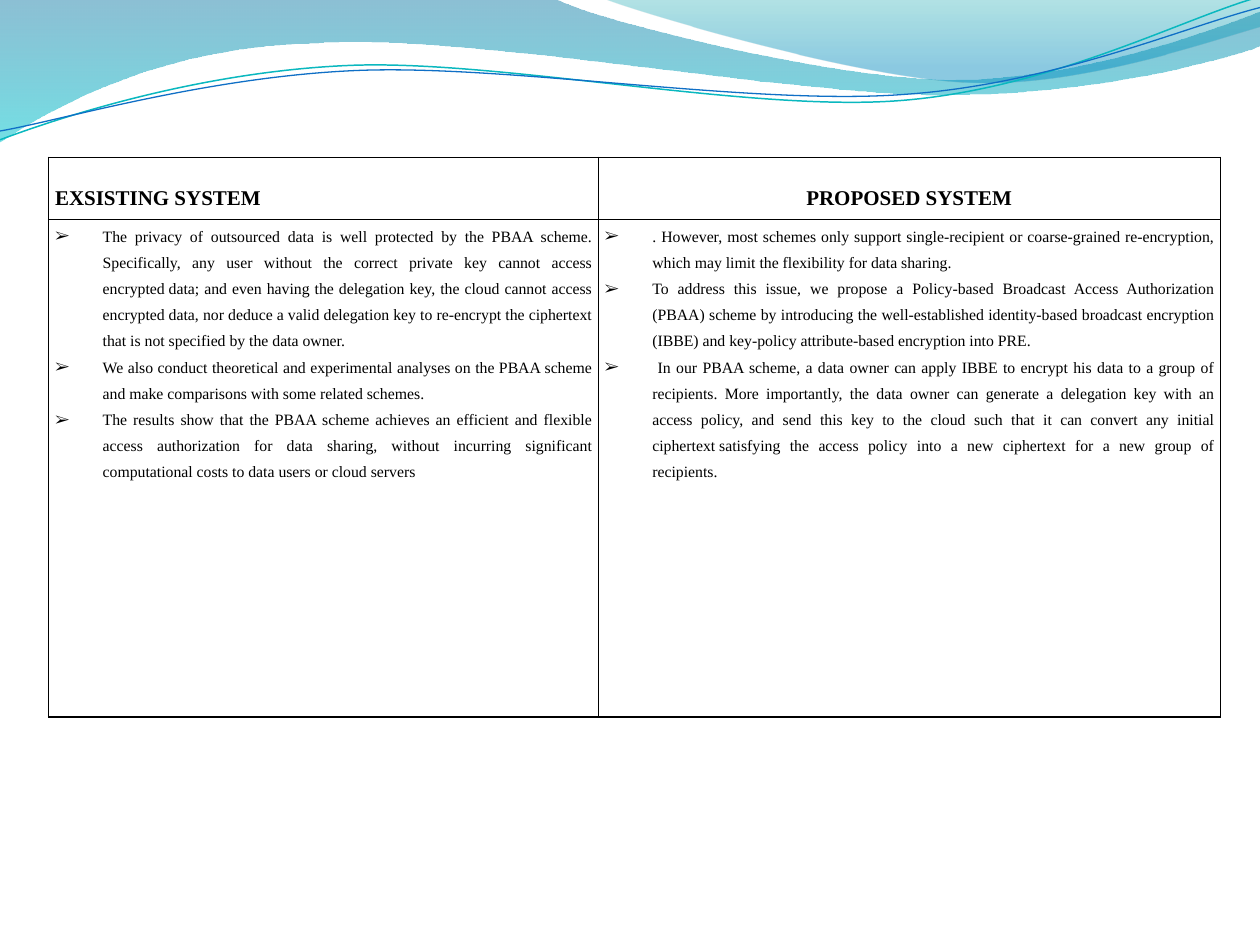
from lxml import etree
from pptx import Presentation
from pptx import util as u
from pptx.dml.color import RGBColor
from pptx.enum import text
from pptx.oxml.ns import qn

BLACK = RGBColor(0x00, 0x00, 0x00)
DEEP_BLUE = RGBColor(0x00, 0x74, 0xA1)
CYAN = RGBColor(0x00, 0xC6, 0xCF)
TEAL = RGBColor(0x00, 0xA1, 0xA9)
SKY = RGBColor(0x00, 0x8B, 0xBF)
LINE_TEAL = RGBColor(0x0A, 0xB8, 0xBF)
LINE_BLUE = RGBColor(0x0F, 0x6F, 0xC6)
FONT = "Times New Roman"
GRID = u.Cm(2.54)
HARD_SPACE = chr(160)

WIDE_WAVE = [
    (0, 0), (4.4, -0.01),
    (4.76, 0.17, 6.64, 0.63, 7.58, 0.63), (8.53, 0.63, 9.58, 0.26, 10, 0.09),
    (10.01, 0.36),
    (9.83, 0.44, 8.7, 0.76, 7.46, 0.75), (6.22, 0.75, 3.82, 0.28, 2.57, 0.34),
    (1.29, 0.36, 0.46, 0.83, -0.01, 1.13),
]
RIGHT_WAVE = [
    (4.79, -0.01),
    (5.09, 0.11, 6.82, 0.62, 7.69, 0.65), (8.56, 0.69, 9.61, 0.32, 10, 0.21),
    (10, 0),
]
TEAL_CURVE = [
    (0, 1.11), (0.48, 0.93, 1.58, 0.57, 2.77, 0.52),
    (3.95, 0.47, 5.93, 0.89, 7.13, 0.8), (8.33, 0.71, 9.38, 0.15, 9.98, -0.02),
]
BLUE_CURVE = [
    (0, 1.04), (0.47, 0.96, 1.64, 0.61, 2.83, 0.56),
    (4.03, 0.51, 5.97, 0.84, 7.17, 0.75), (8.36, 0.67, 9.41, 0.21, 10, 0.06),
]

HEADINGS = [
    ("EXSISTING SYSTEM", text.PP_ALIGN.LEFT),
    ("PROPOSED SYSTEM", text.PP_ALIGN.CENTER),
]
POINTS = [
    [
        "The privacy of outsourced data is well protected by the PBAA scheme. "
        "Specifically, any user without the correct private key cannot access "
        f"encrypted{HARD_SPACE}data; and even having the delegation key, the cloud "
        f"cannot access encrypted{HARD_SPACE}data, nor deduce a valid delegation "
        "key to re-encrypt the ciphertext that is not specified by the data owner.",
        "We also conduct theoretical and experimental analyses on the PBAA "
        "scheme and make comparisons with some related schemes.",
        "The results show that the PBAA scheme achieves an efficient and "
        "flexible access authorization for data sharing, without incurring "
        "significant computational costs to data users or cloud servers",
    ],
    [
        ". However, most schemes only support single-recipient or "
        "coarse-grained re-encryption, which may limit the flexibility for "
        "data sharing.",
        "To address this issue, we propose a Policy-based Broadcast Access "
        "Authorization (PBAA) scheme by introducing the well-established "
        "identity-based broadcast encryption (IBBE) and key-policy "
        "attribute-based encryption into PRE.",
        " In our PBAA scheme, a data owner can apply IBBE to encrypt his data "
        "to a group of recipients. More importantly, the data owner can "
        "generate a delegation key with an access policy, and send this key to "
        "the cloud such that it can convert any initial "
        f"ciphertext{HARD_SPACE}satisfying the access policy into a new "
        "ciphertext for a new group of recipients.",
    ],
]


def bend(line, controls, shape):
    curve = etree.Element(qn("a:cubicBezTo"))
    for x, y in zip(controls[::2], controls[1::2]):
        etree.SubElement(
            curve, qn("a:pt"),
            x=str(round(x * GRID) - shape.left), y=str(round(y * GRID) - shape.top),
        )
    line.getparent().replace(line, curve)


def add_outline(page, segments, close):
    corners = [tuple(round(value * GRID) for value in part[-2:]) for part in segments]
    builder = page.shapes.build_freeform(*corners[0])
    builder.add_line_segments(corners[1:], close=close)
    shape = builder.convert_to_shape()
    shape.shadow.inherit = False
    lines = list(shape._element.iter(qn("a:lnTo")))
    for line, segment in zip(lines, segments[1:]):
        if len(segment) == 6:
            bend(line, segment, shape)
    return shape


def add_wave(page, segments, stops):
    shape = add_outline(page, segments, True)
    shape.line.fill.background()
    shape.fill.gradient()
    shape.fill.gradient_angle = 270
    for stop, (position, color, opacity) in zip(shape.fill.gradient_stops, stops):
        stop.position = position
        stop.color.rgb = color
    colors = shape._element.spPr.iter(qn("a:srgbClr"))
    for element, (position, color, opacity) in zip(colors, stops):
        etree.SubElement(element, qn("a:alpha"), val=str(opacity * 1000))


def add_curve(page, segments, color, width):
    shape = add_outline(page, segments, False)
    shape.fill.background()
    shape.line.color.rgb = color
    shape.line.width = u.Pt(width)


def style_cell(cell, top):
    cell.fill.background()
    cell.margin_left = cell.margin_right = u.Cm(0.13)
    cell.margin_top, cell.margin_bottom = top, 0
    properties = cell._tc.get_or_add_tcPr()
    for index, side in enumerate(("lnL", "lnR", "lnT", "lnB")):
        border = etree.Element(qn("a:" + side), w=str(u.Pt(1)))
        solid = etree.SubElement(border, qn("a:solidFill"))
        etree.SubElement(solid, qn("a:srgbClr"), val=str(BLACK))
        properties.insert(index, border)


def write_paragraph(para, words, align, size, bold):
    para.alignment = align
    para.line_spacing = 1.5
    span = para.add_run()
    span.text = words
    span.font.name = FONT
    span.font.size = u.Pt(size)
    span.font.bold = bold
    span.font.color.rgb = BLACK


def add_bullet(para):
    properties = para._p.get_or_add_pPr()
    indent = u.Cm(0.96)
    properties.set("marL", str(indent))
    properties.set("indent", str(-indent))
    etree.SubElement(properties, qn("a:buFont"), typeface=FONT)
    etree.SubElement(properties, qn("a:buChar"), char="➢")


def add_comparison(page):
    frame = page.shapes.add_table(2, 2, u.Cm(0.98), u.Cm(3.17), u.Cm(23.62), u.Cm(11.28))
    table = frame.table
    table.first_row = table.horz_banding = False
    for column, width in zip(table.columns, (11.08, 12.54)):
        column.width = u.Cm(width)
    for row, height in zip(table.rows, (1.25, 10.03)):
        row.height = u.Cm(height)
    for index, ((heading, align), points) in enumerate(zip(HEADINGS, POINTS)):
        head, body = table.cell(0, index), table.cell(1, index)
        style_cell(head, u.Cm(0.36))
        write_paragraph(head.text_frame.paragraphs[0], heading, align, 12, True)
        style_cell(body, 0)
        box = body.text_frame
        for number, words in enumerate(points):
            para = box.add_paragraph() if number else box.paragraphs[0]
            add_bullet(para)
            write_paragraph(para, words, text.PP_ALIGN.JUSTIFY, 9, False)


def main():
    deck = Presentation()
    deck.slide_width, deck.slide_height = u.Cm(25.4), u.Cm(19.05)
    page = deck.slides.add_slide(deck.slide_layouts[6])
    add_wave(page, WIDE_WAVE, [(0, DEEP_BLUE, 45), (1, CYAN, 55)])
    add_wave(page, RIGHT_WAVE, [(0, TEAL, 30), (0.8, SKY, 45)])
    add_curve(page, TEAL_CURVE, LINE_TEAL, 0.85)
    add_curve(page, BLUE_CURVE, LINE_BLUE, 0.75)
    add_comparison(page)
    deck.save("out.pptx")


if __name__ == "__main__":
    main()
